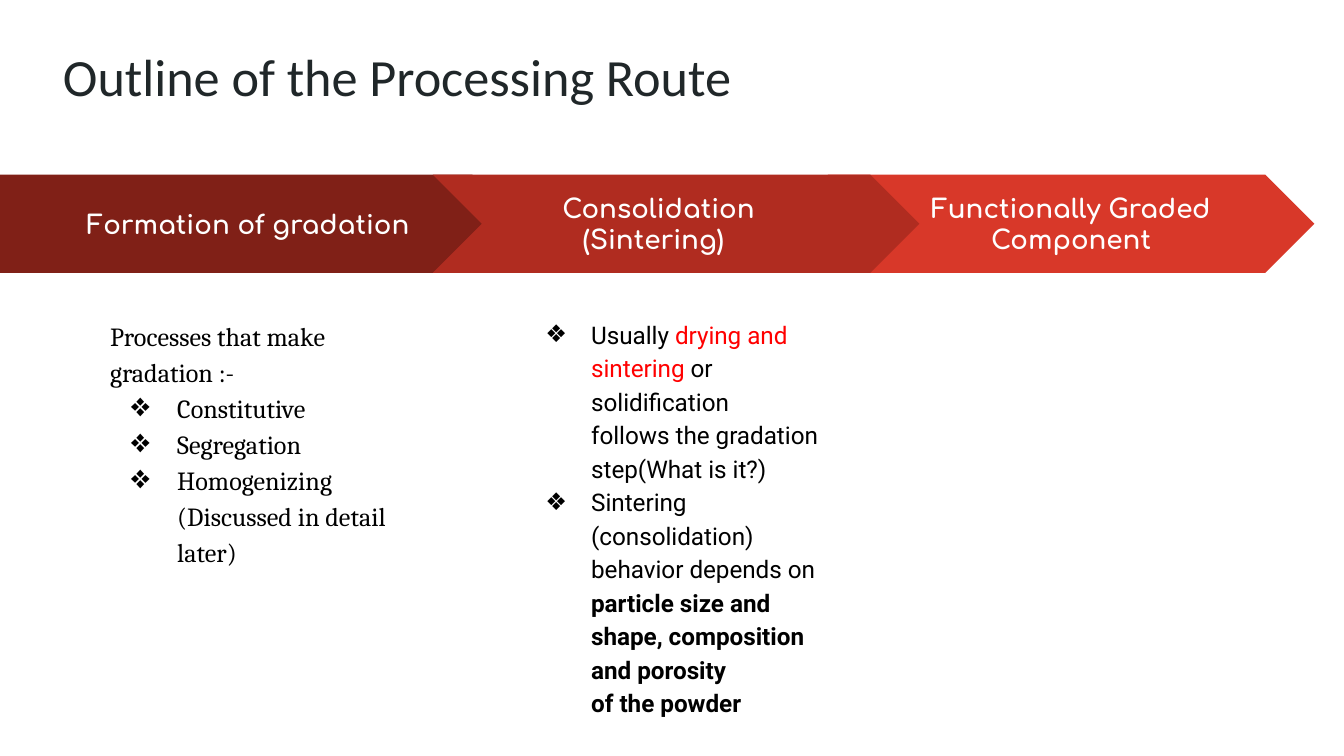
"""Build the processing route slide: three arrow steps with notes below."""
from lxml.etree import SubElement
from pptx import Presentation
from pptx.dml.color import RGBColor
from pptx.enum.shapes import MSO_SHAPE
from pptx.enum.text import MSO_ANCHOR, PP_ALIGN
from pptx.oxml.ns import qn
from pptx.util import Inches, Pt

COLORS = {"dark": "802017", "middle": "B02C20", "bright": "D83829", "white": "FFFFFF",
          "title": "202729", "black": "000000", "red": "FF0000"}
TITLE = "Outline of the Processing Route"
CENTER = {"align": PP_ALIGN.CENTER}
BANNER_TOP, BANNER_HEIGHT = 1.3, 0.73
CHEVRON_LEFT, CHEVRON_STEP, CHEVRON_WIDTH = 3.22, 2.94, 3.62
NOTE_LEFT, NOTE_STEP, NOTE_TOP = 0.72, 3.08, 2.25
NOTE_WIDTH, NOTE_HEIGHT = 2.45, 2.86

STEPS = [
    (MSO_SHAPE.CHEVRON, CHEVRON_LEFT + CHEVRON_STEP, CHEVRON_WIDTH, "bright",
     [("Functionally Graded Component", CENTER)]),
    (MSO_SHAPE.PENTAGON, 0, 3.88, "dark", [("Formation of gradation", CENTER)]),
    (MSO_SHAPE.CHEVRON, CHEVRON_LEFT, CHEVRON_WIDTH, "middle",
     [("Consolidation", {"indent": 0.5}),
      (" (Sintering)\t", {"align": PP_ALIGN.CENTER, "tab": 2})]),
]

NOTES = [
    ("Cambria", 14, -0.35, [
        ("plain", [("Processes that make gradation :-", "black", False)]),
        ("bullet", [("Constitutive", "black", False)]),
        ("bullet", [("Segregation", "black", False)]),
        ("bullet", [("Homogenizing", "black", False)]),
        ("indented", [("(Discussed in detail later)", "black", False)]),
    ]),
    ("Roboto", 13, -0.34, [
        ("bullet", [("Usually ", "black", False), ("drying and sintering", "red", False),
                    (" or solidification", "black", False)]),
        ("indented", [("follows the gradation step(What is it?)", "black", False)]),
        ("bullet", [("Sintering (consolidation) behavior depends on ", "black", False),
                    ("particle size and shape, composition and porosity", "black", True)]),
        ("indented", [("of the powder", "black", True)]),
    ]),
]


def prepare_frame(shape, anchor=MSO_ANCHOR.TOP):
    frame = shape.text_frame
    frame.word_wrap = True
    frame.vertical_anchor = anchor
    frame.margin_left = frame.margin_right = Inches(0.1)
    frame.margin_top = frame.margin_bottom = Inches(0.1)
    return frame


def add_paragraph(frame, position):
    return frame.add_paragraph() if position else frame.paragraphs[0]


def add_span(paragraph, text, font, size, color, bold=False):
    span = paragraph.add_run()
    span.text = text
    span.font.name = font
    span.font.size = Pt(size)
    span.font.bold = bold
    span.font.color.rgb = RGBColor.from_string(COLORS[color])


def set_indent(paragraph, left, first):
    properties = paragraph._p.get_or_add_pPr()
    properties.set("marL", str(Inches(left)))
    properties.set("indent", str(Inches(first)))
    return properties


def add_bullet(properties, font, size):
    color = SubElement(properties, qn("a:buClr"))
    SubElement(color, qn("a:srgbClr"), val=COLORS["black"])
    SubElement(properties, qn("a:buSzPts"), val=str(size * 100))
    SubElement(properties, qn("a:buFont"), typeface=font)
    SubElement(properties, qn("a:buChar"), char="❖")


def add_step(page, kind, left, width, color, lines):
    arrow = page.shapes.add_shape(kind, Inches(left), Inches(BANNER_TOP),
                                  Inches(width), Inches(BANNER_HEIGHT))
    arrow.shadow.inherit = False
    arrow.adjustments[0] = 0.5
    arrow.fill.solid()
    arrow.fill.fore_color.rgb = RGBColor.from_string(COLORS[color])
    arrow.line.fill.background()
    frame = prepare_frame(arrow, MSO_ANCHOR.MIDDLE)
    for position, (text, layout) in enumerate(lines):
        paragraph = add_paragraph(frame, position)
        paragraph.alignment = layout.get("align", PP_ALIGN.LEFT)
        properties = set_indent(paragraph, 0, layout.get("indent", 0))
        if "tab" in layout:
            stops = SubElement(properties, qn("a:tabLst"))
            SubElement(stops, qn("a:tab"), pos=str(Inches(layout["tab"])), algn="l")
        add_span(paragraph, text, "Comfortaa", 14, "white", True)


def add_note(page, column, font, size, hanging, lines):
    box = page.shapes.add_textbox(Inches(NOTE_LEFT + column * NOTE_STEP), Inches(NOTE_TOP),
                                  Inches(NOTE_WIDTH), Inches(NOTE_HEIGHT))
    frame = prepare_frame(box)
    for position, (style, spans) in enumerate(lines):
        paragraph = add_paragraph(frame, position)
        paragraph.line_spacing = 1.15
        if style != "plain":
            properties = set_indent(paragraph, 0.5, hanging if style == "bullet" else 0)
            if style == "bullet":
                add_bullet(properties, font, size)
        for text, color, bold in spans:
            add_span(paragraph, text, font, size, color, bold)


def main():
    deck = Presentation()
    deck.slide_width = Inches(10)
    deck.slide_height = deck.slide_width * 9 // 16
    page = deck.slides.add_slide(deck.slide_layouts[6])
    for step in STEPS:
        add_step(page, *step)
    for column, note in enumerate(NOTES):
        add_note(page, column, *note)
    title = page.shapes.add_textbox(Inches(0.37), Inches(0.23), Inches(9.32), Inches(0.63))
    add_span(prepare_frame(title).paragraphs[0], TITLE, "Calibri", 28, "title")
    deck.save("out.pptx")


if __name__ == "__main__":
    main()
